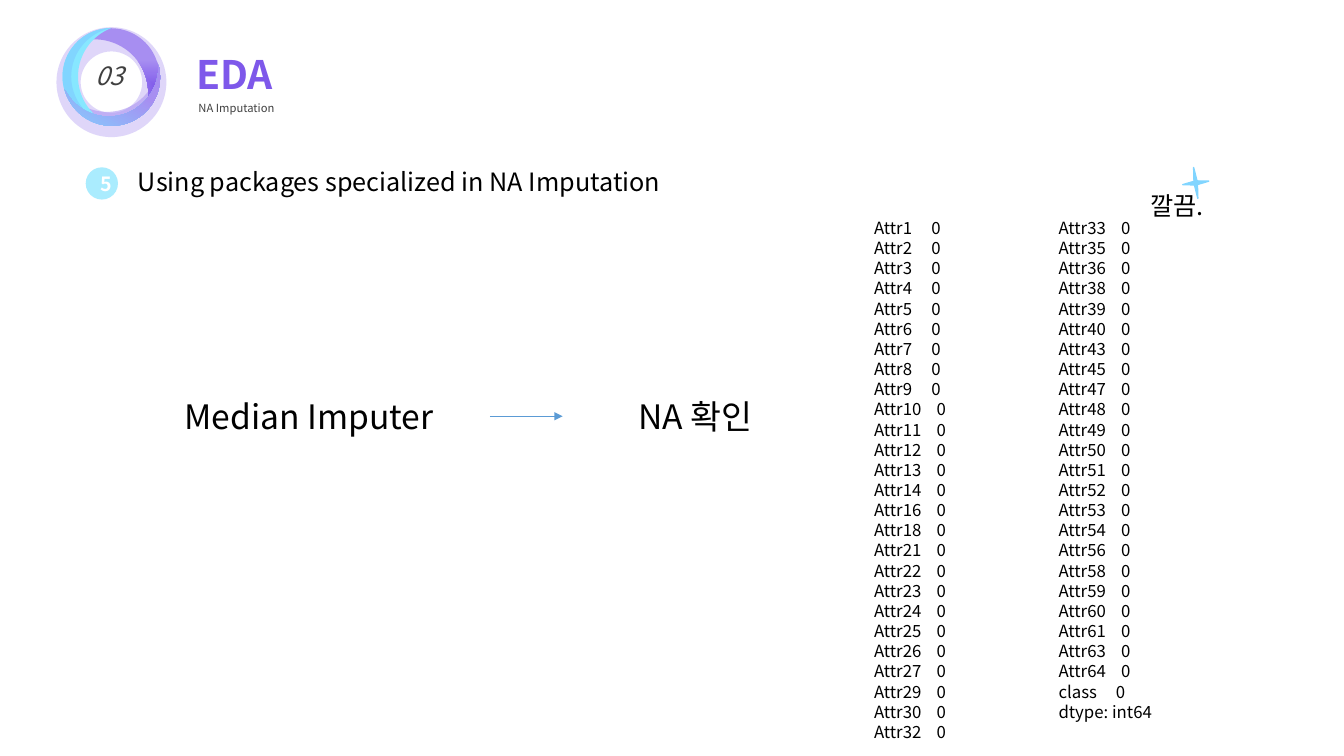
from dataclasses import dataclass

from lxml import etree
from pptx import Presentation
from pptx import util as u
from pptx.dml.color import RGBColor
from pptx.enum import shapes, text
from pptx.oxml.ns import qn


@dataclass(frozen=True)
class Theme:
    """Hold the colours, font and type sizes."""
    font: str = "Noto Sans CJK KR"
    black: str = "000000"
    grey: str = "404040"
    white: str = "FFFFFF"
    violet: str = "7E58EA"
    lilac: str = "A78EF1"
    sky: str = "81D5FF"
    aqua: str = "87E7FF"
    pale: str = "AAECFE"
    blue: str = "5B9BD5"
    title: int = 28
    large: int = 24
    body: int = 18
    badge: int = 14
    list: int = 12
    small: int = 8


T = Theme()
KIND = shapes.MSO_SHAPE
CENTER = text.PP_ALIGN.CENTER
LEFT_COL = (*range(1, 15), 16, 18, *range(21, 28), 29, 30, 32)
RIGHT_COL = (33, 35, 36, 38, 39, 40, 43, 45, *range(47, 55), 56,
             *range(58, 62), 63, 64)


def style(para, size, color=T.black, bold=False, italic=False,
          align=None, lead=None):
    """Set the font, alignment and line pitch of a paragraph."""
    font = para.font
    font.size, font.bold, font.italic = u.Pt(size), bold, italic
    font.color.rgb = RGBColor.from_string(color)
    font.name = T.font
    para.line_spacing = u.Pt(lead or size * 1.2)
    if align is not None:
        para.alignment = align
    base = para._p.pPr.find(qn("a:defRPr"))
    etree.SubElement(base, qn("a:ea"), typeface=T.font)


def add_box(slide, box, wrap=True):
    """Add an empty text box and return its frame."""
    frame = slide.shapes.add_textbox(*map(u.Inches, box)).text_frame
    frame.word_wrap = wrap
    frame.auto_size = text.MSO_AUTO_SIZE.SHAPE_TO_FIT_TEXT
    return frame


def add_label(slide, words, box, size, wrap=True, **look):
    """Add a text box with one paragraph."""
    para = add_box(slide, box, wrap).paragraphs[0]
    para.text = words
    style(para, size, **look)


def add_title(slide):
    """Add the section title and its subtitle."""
    frame = add_box(slide, (1.85, 0.17, 4.14, 1.01))
    head, sub = frame.paragraphs[0], frame.add_paragraph()
    head.text, sub.text = "EDA", "NA Imputation"
    style(head, T.title, T.violet, bold=True, lead=54)
    style(sub, T.small, T.grey, lead=12)
    sub._p.pPr.set("marL", str(u.Inches(0.02)))


def add_list(slide, left, rows):
    """Add a column of names with tabbed counts."""
    frame = add_box(slide, (left, 2.11, 1.62, 5.35))
    for i, row in enumerate(rows):
        para = frame.add_paragraph() if i else frame.paragraphs[0]
        para.text = row
        style(para, T.list)
        if "\t" in row:
            stop = 0.62 if row.index("\t") > 5 else 0.57
            tabs = etree.Element(qn("a:tabLst"))
            etree.SubElement(tabs, qn("a:tab"), pos=str(u.Inches(stop)),
                             algn="l")
            para._p.pPr.find(qn("a:defRPr")).addprevious(tabs)


def add_form(parent, kind, box, color=None, adj=None, turn=0, alpha=None):
    """Add a preset shape without outline or shadow."""
    form = parent.shapes.add_shape(kind, *map(u.Inches, box))
    form.shadow.inherit = False
    form.line.fill.background()
    form.rotation = turn
    if adj is not None:
        form.adjustments[0] = adj
    if color:
        form.fill.solid()
        form.fill.fore_color.rgb = RGBColor.from_string(color)
    if alpha:
        tint = form._element.spPr.find(qn("a:solidFill"))[0]
        etree.SubElement(tint, qn("a:alpha"), val=str(alpha * 1000))
    return form


def blend(form, stops, angle=0, corner=False):
    """Fill a shape with a linear or corner gradient."""
    form.fill.gradient()
    form.fill.gradient_angle = angle
    for stop, (place, color) in zip(form.fill.gradient_stops, stops):
        stop.position = place
        stop.color.rgb = RGBColor.from_string(color)
    if corner:
        grad = form._element.spPr.find(qn("a:gradFill"))
        way = etree.Element(qn("a:path"), path="rect")
        etree.SubElement(way, qn("a:fillToRect"), l="100000", t="100000")
        grad.replace(grad.find(qn("a:lin")), way)


def add_ring(slide):
    """Add the ring of crescents around the section number."""
    ring = slide.shapes.add_group_shape()
    side, low, top = [(x, y, 0.48, 0.96) for x, y in
                      ((0.62, 0.28), (0.93, 0.52), (1.03, 0.11))]
    add_form(ring, KIND.DONUT, (0.56, 0.27, 1.09, 1.09), T.lilac, 0.22,
             alpha=36)
    add_form(ring, KIND.MOON, low, T.lilac, 0.3, 255, 54)
    blend(add_form(ring, KIND.MOON, top, adj=0.37, turn=135),
          ((0.43, T.violet), (1, T.lilac)), corner=True)
    add_form(ring, KIND.MOON, side, T.aqua, 0.32)
    add_form(ring, KIND.MOON, side, T.sky, 0.18)
    blend(add_form(ring, KIND.MOON, low, adj=0.2, turn=255),
          ((0, T.sky), (0.66, T.lilac)), angle=315)


def add_badge(slide, words, box):
    """Add a numbered disc."""
    frame = add_form(slide, KIND.OVAL, box, T.pale).text_frame
    frame.vertical_anchor = text.MSO_ANCHOR.MIDDLE
    frame.paragraphs[0].text = words
    style(frame.paragraphs[0], T.badge, T.white, bold=True, align=CENTER)


def add_arrow(slide, start, end):
    """Add a thin arrow."""
    arrow = slide.shapes.add_connector(
        shapes.MSO_CONNECTOR.STRAIGHT, *map(u.Inches, (*start, *end)))
    arrow.line.color.rgb = RGBColor.from_string(T.blue)
    arrow.line.width = u.Pt(0.5)
    etree.SubElement(arrow.line._get_or_add_ln(), qn("a:tailEnd"),
                     type="triangle")
    etree.SubElement(arrow._element.spPr, qn("a:effectLst"))


def add_star(slide):
    """Add the outlined sparkle."""
    star = add_form(slide, KIND.STAR_4_POINT, (11.73, 1.66, 0.26, 0.31),
                    T.sky, 0.08, 352.3)
    star.line.color.rgb = RGBColor.from_string(T.sky)
    star.line.width = u.Pt(1)


def main():
    """Build and save the slide."""
    deck = Presentation()
    deck.slide_width, deck.slide_height = u.Inches(13.33), u.Inches(7.5)
    slide = deck.slides.add_slide(deck.slide_layouts[6])
    add_title(slide)
    add_ring(slide)
    add_label(slide, "03", (0.85, 0.55, 0.48, 0.4), T.body, wrap=False,
              color=T.grey, italic=True)
    add_badge(slide, "5", (0.85, 1.66, 0.32, 0.32))
    add_label(slide, "Using packages specialized in NA Imputation",
              (1.27, 1.6, 6.31, 0.4), T.body)
    add_label(slide, "Median Imputer", (0.91, 3.88, 4.31, 0.5), T.large,
              align=CENTER)
    add_arrow(slide, (4.86, 4.13), (5.58, 4.13))
    add_list(slide, 8.57, [f"Attr{n}\t0" for n in LEFT_COL])
    add_list(slide, 10.4, [f"Attr{n}\t0" for n in RIGHT_COL]
             + ["class\t0", "dtype: int64"])
    add_label(slide, "NA 확인", (4.74, 3.88, 4.31, 0.5), T.large,
              align=CENTER)
    add_star(slide)
    add_label(slide, "깔끔.", (11.31, 1.84, 1.12, 0.4), T.body)
    deck.save("out.pptx")


main()
